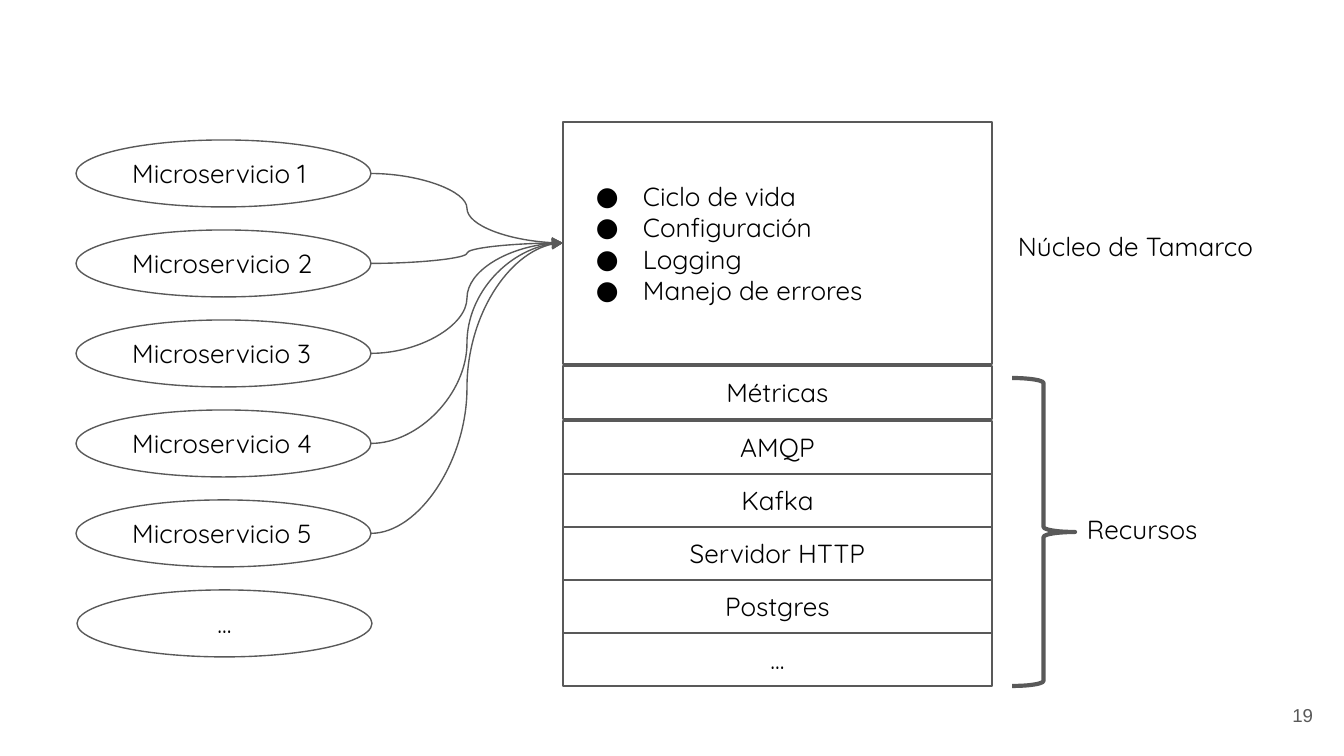
from dataclasses import dataclass
from lxml.etree import SubElement
from pptx import Presentation
from pptx.dml.color import RGBColor
from pptx.enum.shapes import MSO_CONNECTOR, MSO_SHAPE
from pptx.enum.text import MSO_ANCHOR, PP_ALIGN
from pptx.oxml.ns import qn
from pptx.util import Emu, Pt

SCALE = 9144000 / 1344
GRAY, BLACK = "595959", "000000"
BODY = {"size": Pt(14), "name": "Quicksand"}
SMALL = {"size": Pt(10), "name": "Arial"}
LEFT, MID, RIGHT = PP_ALIGN.LEFT, PP_ALIGN.CENTER, PP_ALIGN.RIGHT


@dataclass
class Box:
    x: int
    y: int
    w: int
    h: int
    text: str = ""
    align: PP_ALIGN = LEFT
    anchor: MSO_ANCHOR = MSO_ANCHOR.MIDDLE

    def place(self) -> list[Emu]:
        return [px(v) for v in (self.x, self.y, self.w, self.h)]


def px(value: float) -> Emu:
    return Emu(round(value * SCALE))


def color(code: str) -> RGBColor:
    return RGBColor.from_string(code)


def assign(item, values: dict) -> None:
    for key, value in values.items():
        setattr(item, key, value)


def bullet(par) -> None:
    props = par._p.get_or_add_pPr()
    props.set("marL", str(px(67)))
    props.set("indent", str(-px(47)))
    tint = SubElement(props, qn("a:buClr"))
    SubElement(tint, qn("a:srgbClr"), val=BLACK)
    SubElement(props, qn("a:buFont"), typeface="Quicksand")
    SubElement(props, qn("a:buChar"), char="●")


def write(shape, box: Box, font: dict = BODY, ink: str = BLACK,
          dots: bool = False) -> None:
    frame = shape.text_frame
    sides = ("left", "top", "right", "bottom")
    assign(frame, {f"margin_{side}": px(13) for side in sides})
    assign(frame, {"word_wrap": True, "vertical_anchor": box.anchor,
                   "text": box.text})
    for par in frame.paragraphs:
        par.alignment = box.align
        if dots:
            bullet(par)
        for run in par.runs:
            assign(run.font, font)
            run.font.color.rgb = color(ink)


def stroke(line, width: float) -> None:
    line.color.rgb = color(GRAY)
    line.width = Pt(width)


def draw(slide, kind: MSO_SHAPE, box: Box, width: float = 0.75,
         dots: bool = False):
    shape = slide.shapes.add_shape(kind, *box.place())
    shape.shadow.inherit = False
    shape.fill.background()
    stroke(shape.line, width)
    if box.text:
        write(shape, box, dots=dots)
    return shape


def label(slide, box: Box, font: dict = BODY, ink: str = BLACK) -> None:
    write(slide.shapes.add_textbox(*box.place()), box, font, ink)


def link(slide, start: Box, end: Box) -> None:
    ends = (start.x + start.w, start.y + start.h / 2,
            end.x, end.y + end.h / 2)
    curve = slide.shapes.add_connector(MSO_CONNECTOR.CURVE, *map(px, ends))
    stroke(curve.line, 0.75)
    SubElement(curve.line._get_or_add_ln(), qn("a:tailEnd"), type="triangle")
    SubElement(curve._element.spPr, qn("a:effectLst"))


def main() -> None:
    deck = Presentation()
    assign(deck, {"slide_width": px(1344), "slide_height": px(756)})
    slide = deck.slides.add_slide(deck.slide_layouts[6])

    nodes = [Box(76, 140 + 90 * i, 295, 67, f"Microservicio {i + 1}")
             for i in range(5)]
    more = Box(77, 590, 295, 67, "...", MID)
    for node in nodes + [more]:
        draw(slide, MSO_SHAPE.OVAL, node)

    tasks = ("Ciclo de vida", "Configuración", "Logging", "Manejo de errores")
    core = Box(563, 122, 429, 242, "\n".join(tasks))
    draw(slide, MSO_SHAPE.RECTANGLE, core, dots=True)

    names = ("AMQP", "Kafka", "Servidor HTTP", "Postgres", "...")
    rows = [Box(563, 366, 429, 53, "Métricas", MID)]
    rows += [Box(563, 421 + 53 * i, 429, 53, name, MID)
             for i, name in enumerate(names)]
    for row in rows:
        draw(slide, MSO_SHAPE.RECTANGLE, row)

    for node in nodes:
        link(slide, node, core)

    brace = draw(slide, MSO_SHAPE.RIGHT_BRACE, Box(1012, 378, 63, 308), 2.25)
    brace.adjustments[0] = 0.08

    top = MSO_ANCHOR.TOP
    label(slide, Box(1074, 500, 144, 53, "Recursos", LEFT, top))
    label(slide, Box(1005, 217, 269, 53, "Núcleo de Tamarco", LEFT, top))
    label(slide, Box(1246, 686, 80, 58, "19", RIGHT), SMALL, GRAY)
    deck.save("out.pptx")


if __name__ == "__main__":
    main()
